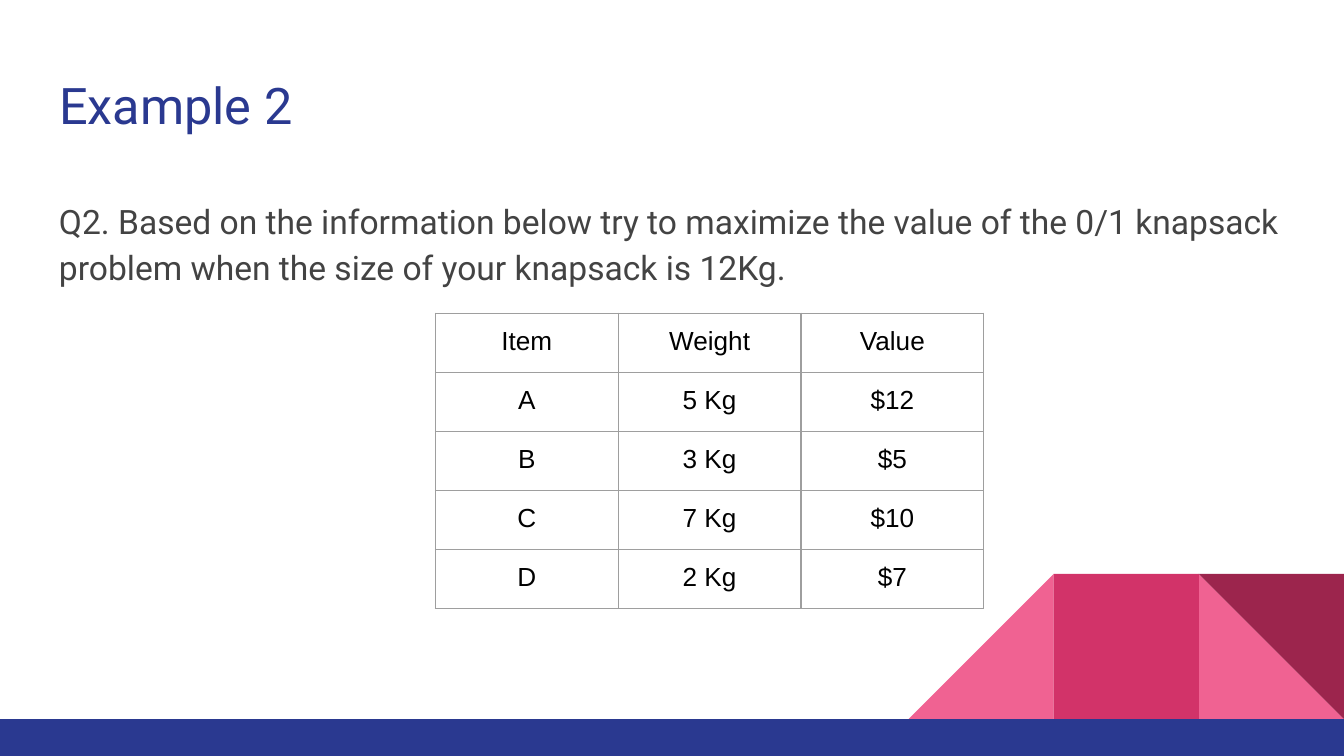
"""Build the knapsack example slide."""
from typing import NamedTuple

from lxml.etree import SubElement
from pptx import Presentation
from pptx.dml.color import RGBColor as Rgb
from pptx.enum.shapes import MSO_SHAPE as Kind
from pptx.enum.text import MSO_ANCHOR as Anchor, PP_ALIGN as Align
from pptx.oxml.ns import qn
from pptx.util import Inches, Pt

HUES = {
    "navy": "2A3990", "pink": "F06292", "rose": "D23369", "wine": "9C254D",
    "gray": "434343", "black": "000000", "line": "9E9E9E",
}
SIDE = 1.08
TOP = 4.27
BASE = 5.35
INSET = Inches(0.1)
FRAME = {
    "word_wrap": True, "vertical_anchor": Anchor.TOP,
    "margin_left": INSET, "margin_right": INSET,
    "margin_top": INSET, "margin_bottom": INSET,
}
ROWS = [
    ("Item", "Weight", "Value"),
    ("A", "5 Kg", "$12"),
    ("B", "3 Kg", "$5"),
    ("C", "7 Kg", "$10"),
    ("D", "2 Kg", "$7"),
]


class Block(NamedTuple):
    kind: Kind
    left: float
    top: float
    width: float
    height: float
    hue: str
    turn: int = 0


class Style(NamedTuple):
    font: str
    size: int
    hue: str
    para: dict


HEAD = Style("Roboto", 27, "navy", {"alignment": Align.LEFT, "line_spacing": 1.0})
BODY = Style("Roboto", 18, "gray", {"alignment": Align.LEFT, "line_spacing": 1.15})
CELL = Style("Arial", 14, "black", {"alignment": Align.CENTER})

BLOCKS = [
    Block(Kind.RIGHT_TRIANGLE, 10 - SIDE, TOP, SIDE, SIDE, "pink"),
    Block(Kind.RIGHT_TRIANGLE, 10 - 3 * SIDE, TOP, SIDE, SIDE, "pink", 270),
    Block(Kind.RECTANGLE, 10 - 2 * SIDE, TOP, SIDE, SIDE, "rose"),
    Block(Kind.RIGHT_TRIANGLE, 10 - SIDE, TOP, SIDE, SIDE, "wine", 180),
    Block(Kind.RECTANGLE, 0, BASE, 10, 0.28, "navy"),
]


def apply(item, values: dict) -> None:
    """Set each named attribute of an item."""
    for name, value in values.items():
        setattr(item, name, value)


def write(frame, text: str, style: Style) -> None:
    """Fill a text frame with one styled paragraph."""
    frame.text = text
    para = frame.paragraphs[0]
    apply(para, style.para)
    font = para.runs[0].font
    apply(font, {"name": style.font, "size": Pt(style.size)})
    font.color.rgb = Rgb.from_string(HUES[style.hue])


def draw_block(slide, block: Block) -> None:
    """Draw one plain filled shape."""
    box = map(Inches, block[1:5])
    shape = slide.shapes.add_shape(block.kind, *box)
    shape.rotation = block.turn
    shape.shadow.inherit = False
    shape.fill.solid()
    shape.fill.fore_color.rgb = Rgb.from_string(HUES[block.hue])
    shape.line.fill.background()


def add_edges(cell) -> None:
    """Give a cell a thin line on each side."""
    props = cell._tc.get_or_add_tcPr()
    for side in ("lnL", "lnR", "lnT", "lnB"):
        edge = SubElement(props, qn(f"a:{side}"), w=str(Pt(0.75)))
        fill = SubElement(edge, qn("a:solidFill"))
        SubElement(fill, qn("a:srgbClr"), val=HUES["line"])


def draw_table(slide, rows: list) -> None:
    """Draw the table of items."""
    wide, high = 1.36, 0.44
    count, span = len(rows), len(rows[0])
    box = map(Inches, (3.24, 2.33, wide * span, high * count))
    table = slide.shapes.add_table(count, span, *box).table
    apply(table, {"first_row": False, "horz_banding": False})
    margins = {key: value for key, value in FRAME.items() if key != "word_wrap"}
    for r, row in enumerate(rows):
        for c, text in enumerate(row):
            cell = table.cell(r, c)
            apply(cell, margins)
            add_edges(cell)
            cell.fill.background()
            write(cell.text_frame, text, CELL)


def main() -> None:
    """Build and save the slide."""
    deck = Presentation()
    apply(deck, {"slide_width": Inches(10), "slide_height": Inches(5.625)})
    slide = deck.slides.add_slide(deck.slide_layouts[5])
    for block in BLOCKS:
        draw_block(slide, block)

    title = slide.shapes.title
    apply(title, {"left": Inches(0.34), "top": Inches(0.45),
                  "width": Inches(9.32), "height": Inches(0.66)})
    apply(title.text_frame, FRAME)
    write(title.text_frame, "Example 2", HEAD)

    body = slide.shapes.add_textbox(*map(Inches, (0.34, 1.35, 9.32, 3.65)))
    apply(body.text_frame, FRAME)
    write(body.text_frame, "Q2. Based on the information below try to maximize "
          "the value of the 0/1 knapsack problem when the size of your "
          "knapsack is 12Kg.", BODY)

    draw_table(slide, ROWS)
    deck.save("out.pptx")


if __name__ == "__main__":
    main()
